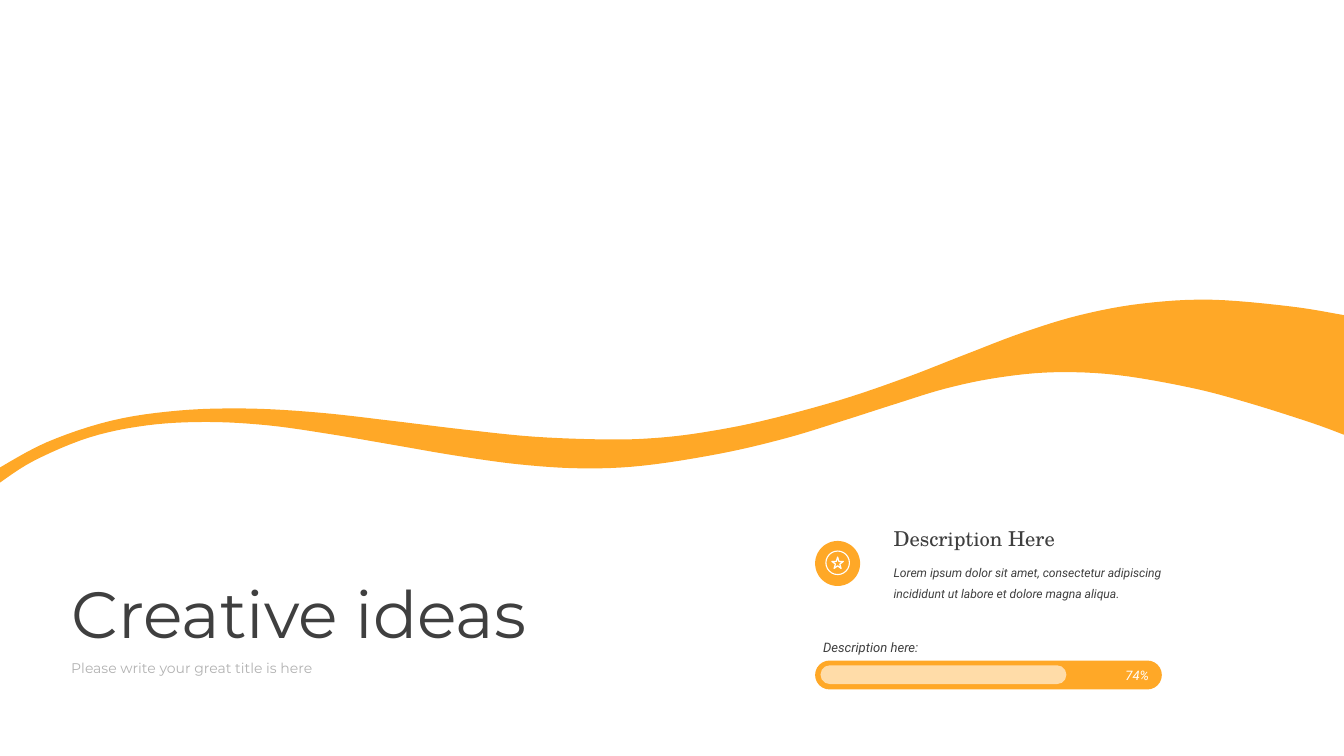
from dataclasses import dataclass

from lxml.etree import SubElement
from pptx import Presentation
from pptx.dml.color import RGBColor
from pptx.enum.shapes import MSO_SHAPE
from pptx.enum.text import MSO_ANCHOR, MSO_AUTO_SIZE, PP_ALIGN
from pptx.oxml.ns import qn
from pptx.util import Inches, Pt


@dataclass(frozen=True)
class Theme:
    accent: RGBColor = RGBColor(0xFF, 0xA8, 0x27)
    dark: RGBColor = RGBColor(0x3F, 0x3F, 0x3F)
    muted: RGBColor = RGBColor(0xB2, 0xB2, 0xB2)
    white: RGBColor = RGBColor(0xFF, 0xFF, 0xFF)
    title_size: int = 70
    heading_size: int = 22
    subtitle_size: int = 15
    label_size: int = 14
    body_size: int = 13
    title_font: str = "Montserrat"
    heading_font: str = "TeX Gyre Schola"
    body_font: str = "Roboto"


# Knots of the ribbon's two edges, left to right, in inches
UPPER_EDGE = [
    (-0.04, 6.98), (0.7, 6.58), (1.66, 6.26), (2.66, 6.11), (3.69, 6.08),
    (4.74, 6.14), (5.81, 6.26), (6.88, 6.39), (7.96, 6.5), (9.03, 6.54),
    (9.73, 6.52), (10.43, 6.44), (11.32, 6.27), (12.48, 5.96), (13.48, 5.62),
    (14.38, 5.27), (15.22, 4.95), (16.07, 4.69), (16.98, 4.52), (18.01, 4.46),
    (19.2, 4.56), (20, 4.69),
]
LOWER_EDGE = [
    (-0.04, 7.21), (0.5, 6.86), (1.33, 6.51), (2.19, 6.33), (3.08, 6.28),
    (3.99, 6.33), (4.91, 6.46), (5.85, 6.62), (6.78, 6.78), (7.72, 6.91),
    (8.65, 6.97), (9.57, 6.93), (10.72, 6.75), (11.7, 6.52), (12.55, 6.26),
    (13.33, 6.01), (14.08, 5.78), (14.85, 5.62), (15.68, 5.54), (16.62, 5.58),
    (17.72, 5.77), (18.56, 5.99), (19.51, 6.29), (20, 6.47),
]


def smooth_curve(knots, steps=6):
    """Points of a Catmull-Rom curve through the knots."""
    padded = [knots[0], *knots, knots[-1]]
    points = []
    for a, b, c, d in zip(padded, padded[1:], padded[2:], padded[3:]):
        for step in range(steps):
            t = step / steps
            points.append(tuple(
                q + t * (r - p) / 2
                + t ** 2 * (2 * p - 5 * q + 4 * r - s) / 2
                + t ** 3 * (3 * q - p - 3 * r + s) / 2
                for p, q, r, s in zip(a, b, c, d)))
    return points + [knots[-1]]


class SlideBuilder:
    def __init__(self, slide, theme):
        self.slide = slide
        self.theme = theme

    def set_text(self, sp, text, spacing=None, **font_format):
        """Put one formatted, left-aligned paragraph in a shape."""
        tf = sp.text_frame
        frame_format = {"word_wrap": True, "vertical_anchor": MSO_ANCHOR.TOP,
                        "auto_size": MSO_AUTO_SIZE.SHAPE_TO_FIT_TEXT}
        for name, value in frame_format.items():
            setattr(tf, name, value)
        p = tf.paragraphs[0]
        p.alignment = PP_ALIGN.LEFT
        p.space_before = Pt(0)
        p.line_spacing = spacing
        r = p.add_run()
        r.text = text
        r.font.color.rgb = font_format.pop("color", self.theme.dark)
        r.font.size = Pt(font_format.pop("size"))
        for name, value in font_format.items():
            setattr(r.font, name, value)

    def placeholder(self, index, text, box, **font_format):
        sp = self.slide.placeholders[index]
        for name, value in zip(("left", "top", "width", "height"), box):
            setattr(sp, name, Inches(value))
        self.set_text(sp, text, **font_format)

    def text(self, text, box, **font_format):
        sp = self.slide.shapes.add_textbox(*map(Inches, box))
        self.set_text(sp, text, **font_format)

    def paint(self, sp, fill):
        sp.shadow.inherit = False
        sp.fill.solid()
        sp.fill.fore_color.rgb = fill
        sp.line.fill.background()

    def shape(self, kind, box, fill):
        sp = self.slide.shapes.add_shape(kind, *map(Inches, box))
        self.paint(sp, fill)
        return sp

    def outline(self, kind, box, color, width):
        sp = self.slide.shapes.add_shape(kind, *map(Inches, box))
        sp.shadow.inherit = False
        sp.fill.background()
        sp.line.color.rgb = color
        sp.line.width = Pt(width)

    def pill(self, box, fill, opacity=100):
        sp = self.shape(MSO_SHAPE.ROUNDED_RECTANGLE, box, fill)
        sp.adjustments[0] = 0.5
        if opacity < 100:
            color = sp.element.spPr.find(qn("a:solidFill"))[0]
            SubElement(color, qn("a:alpha"), val=str(opacity * 1000))

    def ribbon(self, upper, lower, fill):
        outline = smooth_curve(upper) + smooth_curve(lower)[::-1]
        points = [(Inches(x), Inches(y)) for x, y in outline]
        builder = self.slide.shapes.build_freeform(*points[0])
        builder.add_line_segments(points[1:], close=True)
        self.paint(builder.convert_to_shape(), fill)


def main():
    prs = Presentation()
    prs.slide_width, prs.slide_height = Inches(20), Inches(11.25)
    theme = Theme()
    s = SlideBuilder(prs.slides.add_slide(prs.slide_layouts[0]), theme)

    # Wave across the slide
    s.ribbon(UPPER_EDGE, LOWER_EDGE, theme.accent)

    # Title and subtitle
    s.placeholder(0, "Creative ideas", (0.96, 8.48, 8.83, 1.28),
                  size=theme.title_size, name=theme.title_font)
    s.placeholder(1, "Please write your great title is here",
                  (0.96, 9.76, 4.62, 0.35), size=theme.subtitle_size,
                  name=theme.title_font, color=theme.muted)

    # Description
    s.text("Description Here", (13.2, 7.78, 3.04, 0.47),
           size=theme.heading_size, name=theme.heading_font)
    s.text("Lorem ipsum dolor sit amet, consectetur adipiscing "
           "incididunt ut labore et dolore magna aliqua.",
           (13.2, 8.25, 4.19, 0.76), spacing=1.5, size=theme.body_size,
           name=theme.body_font, italic=True)

    # Star badge
    s.shape(MSO_SHAPE.OVAL, (12.13, 8.05, 0.67, 0.67), theme.accent)
    s.outline(MSO_SHAPE.OVAL, (12.29, 8.2, 0.35, 0.35), theme.white, 1.2)
    s.outline(MSO_SHAPE.STAR_5_POINT, (12.38, 8.29, 0.17, 0.17),
              theme.white, 1.3)

    # Progress bar
    s.pill((12.13, 9.83, 5.16, 0.43), theme.accent)
    s.pill((12.21, 9.9, 3.66, 0.28), theme.white, opacity=60)
    label = {"size": theme.label_size, "name": theme.body_font, "italic": True}
    s.text("Description here:", (12.15, 9.47, 2.12, 0.34), **label)
    s.text("74%", (16.65, 9.88, 0.57, 0.34), color=theme.white, **label)

    prs.save("out.pptx")


if __name__ == "__main__":
    main()
